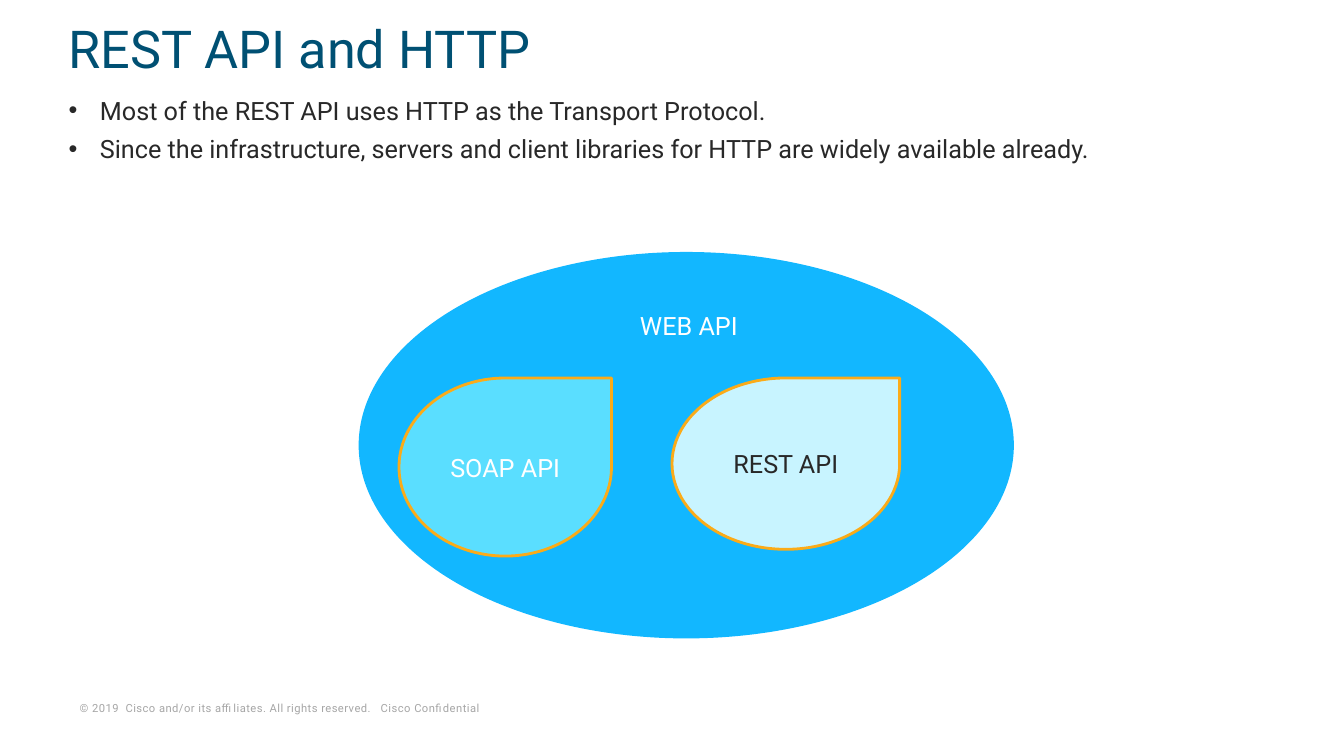
from dataclasses import dataclass

from lxml import etree
from pptx import Presentation
from pptx.dml.color import RGBColor
from pptx.enum.shapes import MSO_SHAPE
from pptx.enum.text import MSO_ANCHOR, PP_ALIGN
from pptx.oxml.ns import qn
from pptx.util import Inches, Pt

OVAL, DROP = MSO_SHAPE.OVAL, MSO_SHAPE.TEAR
TOP, MIDDLE, BOTTOM = MSO_ANCHOR.TOP, MSO_ANCHOR.MIDDLE, MSO_ANCHOR.BOTTOM
LEFT, CENTER = PP_ALIGN.LEFT, PP_ALIGN.CENTER

WIDE, HIGH = Inches(13.33), Inches(7.5)
COLS, ROWS = 160, 90
FONT = "Roboto"
INK, WHITE, NAVY, GREY, GOLD = "282828", "FFFFFF", "005073", "A6A6A6", "FBAB18"


@dataclass
class Area:
    """A place on the slide, in grid columns and rows."""
    col: float
    row: float
    cols: float
    rows: float

    def box(self) -> tuple[int, int, int, int]:
        return (round(self.col * WIDE / COLS), round(self.row * HIGH / ROWS),
                round(self.cols * WIDE / COLS), round(self.rows * HIGH / ROWS))


@dataclass
class Text:
    lines: list[str]
    color: str = INK
    size: float = 18
    anchor: MSO_ANCHOR = TOP
    align: PP_ALIGN = LEFT
    leading: float = 1.0
    after: float = 0
    tracking: int = 0
    bullet: bool = False
    wrap: bool = True


@dataclass
class Blob:
    area: Area
    kind: MSO_SHAPE
    fill: str
    line: str = ""
    text: Text | None = None


def paint(color: str) -> RGBColor:
    return RGBColor.from_string(color)


def add_bullet(para) -> None:
    props = para._p.get_or_add_pPr()
    props.set("marL", str(Inches(0.31)))
    props.set("indent", str(-Inches(0.31)))
    etree.SubElement(props, qn("a:buFont")).set("typeface", "Arial")
    etree.SubElement(props, qn("a:buChar")).set("char", "•")


def write(frame, text: Text) -> None:
    frame.word_wrap = text.wrap
    frame.vertical_anchor = text.anchor
    for index, line in enumerate(text.lines):
        para = frame.add_paragraph() if index else frame.paragraphs[0]
        if text.bullet:
            add_bullet(para)
        para.alignment = text.align
        para.line_spacing = text.leading
        para.space_after = Pt(text.after)
        run = para.add_run()
        run.text = line
        run.font.name = FONT
        run.font.size = Pt(text.size)
        run.font.color.rgb = paint(text.color)
        if text.tracking:
            run._r.get_or_add_rPr().set("spc", str(text.tracking))


def add_label(slide, area: Area, text: Text) -> None:
    write(slide.shapes.add_textbox(*area.box()).text_frame, text)


def add_blob(slide, blob: Blob) -> None:
    shape = slide.shapes.add_shape(blob.kind, *blob.area.box())
    shape.shadow.inherit = False
    shape.fill.solid()
    shape.fill.fore_color.rgb = paint(blob.fill)
    if blob.line:
        shape.line.color.rgb = paint(blob.line)
        shape.line.width = Pt(2)
    else:
        shape.line.fill.background()
    if blob.text:
        write(shape.text_frame, blob.text)


LABELS = [
    (Area(8.3, 82.9, 59.5, 2.8),
     Text(["© 2019  Cisco and/or its affiliates. All rights reserved.   Cisco Confidential"],
          GREY, 8, BOTTOM, tracking=30)),
    (Area(7, 10.7, 149.5, 9.5),
     Text(["Most of the REST API uses HTTP as the Transport Protocol.",
           "Since the infrastructure, servers and client libraries for HTTP"
           " are widely available already."], after=6, bullet=True)),
    (Area(7, 0, 146, 12.8),
     Text(["REST API and HTTP"], NAVY, 37.3, MIDDLE, leading=0.8)),
]
BLOBS = [
    Blob(Area(42.7, 30, 78, 46), OVAL, "12B7FF"),
    Blob(Area(47.5, 45, 25.3, 21.2), DROP, "5ADEFF", GOLD,
         Text(["SOAP API"], WHITE, anchor=MIDDLE, align=CENTER)),
    Blob(Area(80, 45, 27.1, 20.4), DROP, "C8F4FF", GOLD,
         Text(["REST API"], INK, anchor=MIDDLE, align=CENTER)),
]
WEB = (Area(75, 36.4, 14.4, 4.8), Text(["WEB API"], WHITE, wrap=False))


def main() -> None:
    deck = Presentation()
    deck.slide_width, deck.slide_height = WIDE, HIGH
    slide = deck.slides.add_slide(deck.slide_layouts[6])
    for area, text in LABELS:
        add_label(slide, area, text)
    for blob in BLOBS:
        add_blob(slide, blob)
    add_label(slide, *WEB)
    deck.save("out.pptx")


if __name__ == "__main__":
    main()
